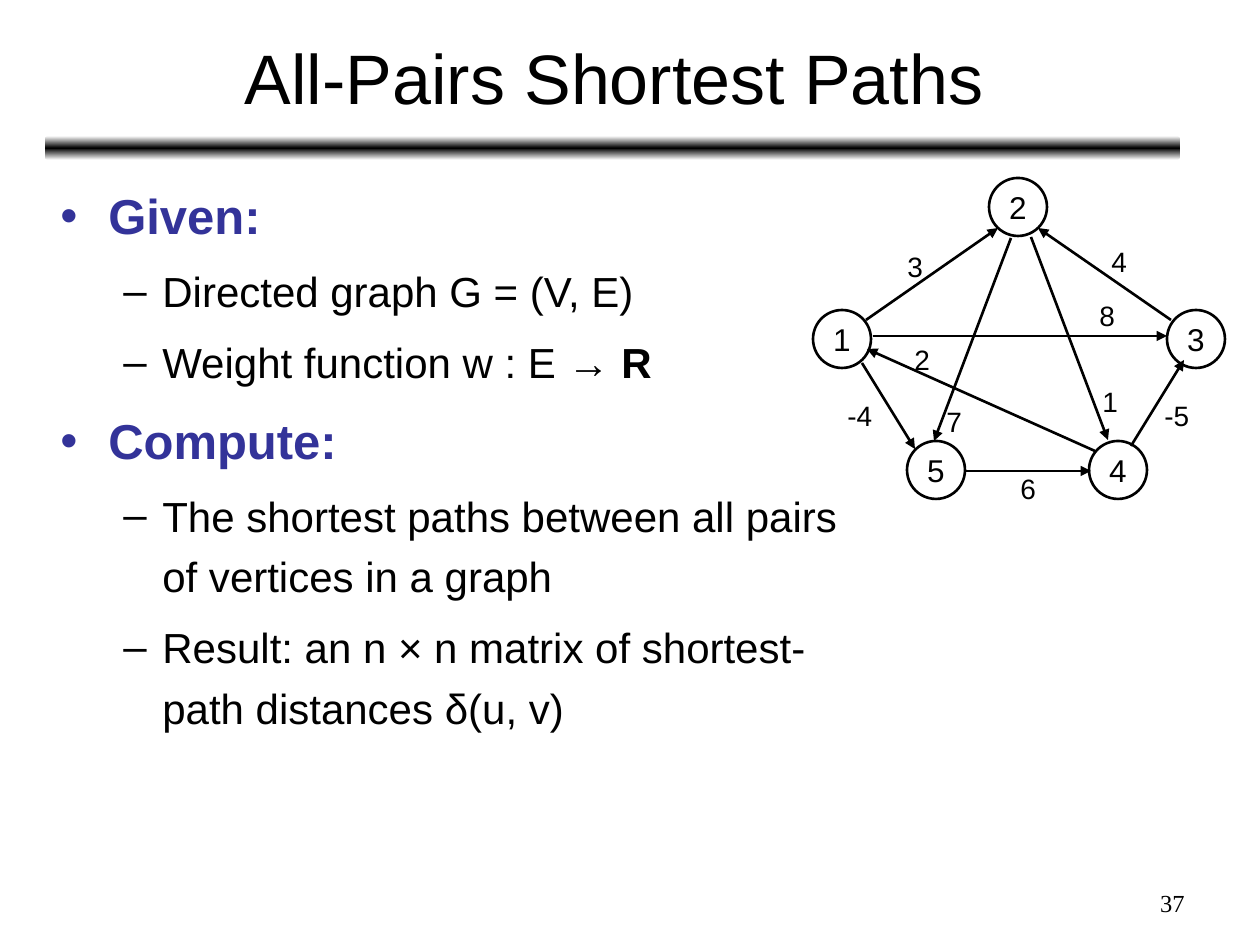
from lxml.etree import SubElement
from copy import deepcopy
from pptx import Presentation
from pptx.dml.color import RGBColor
from pptx.enum.shapes import MSO_CONNECTOR as Connector, MSO_SHAPE as Shape
from pptx.enum.text import MSO_ANCHOR as Anchor, MSO_AUTO_SIZE as AutoSize, PP_ALIGN as Align
from pptx.oxml.ns import qn
from pptx.util import Emu, Pt

SCALE = 914400 / 126
COLORS = {"ink": "000000", "paper": "FFFFFF", "heading": "333399"}
NODE_SIZE = 58
NODES = {
    "1": (813, 310),
    "2": (989, 178),
    "3": (1167, 310),
    "5": (907, 441),
    "4": (1089, 441),
}
EDGES = [
    ((866, 320), (998, 228), "3", (895, 243)),
    ((862, 363), (915, 449), "-4", (835, 392)),
    ((1011, 238), (934, 441), "7", (934, 398)),
    ((966, 471), (1091, 471), "6", (1008, 465)),
    ((1095, 451), (867, 349), "2", (902, 336)),
    ((1171, 320), (1038, 228), "4", (1099, 238)),
    ((1031, 237), (1108, 440), "1", (1090, 378)),
    ((1131, 446), (1184, 360), "-5", (1152, 392)),
    ((873, 336), (1167, 336), "8", (1087, 292)),
]
LEVELS = [
    {"size": 28, "color": "heading", "bold": True, "before": 7, "bullet": "•", "left": 48, "hang": 48},
    {"size": 24, "color": "ink", "bold": False, "before": 6, "bullet": "–", "left": 102, "hang": 39},
]
OUTLINE = [
    (0, "Given:", ""),
    (1, "Directed graph G = (V, E)", ""),
    (1, "Weight function w : E → ", "R"),
    (0, "Compute:", ""),
    (1, "The shortest paths between all pairs of vertices in a graph", ""),
    (1, "Result: an n × n matrix of shortest-path distances δ(u, v)", ""),
]


def px(*lengths):
    return [Emu(round(length * SCALE)) for length in lengths]


def rgb(name):
    return RGBColor.from_string(COLORS[name])


def style(para, size, color="ink", font="Arial", align=Align.LEFT):
    para.alignment = align
    para.font.size = Pt(size)
    para.font.name = font
    para.font.color.rgb = rgb(color)


def add_text(page, text, bounds, size, align=Align.LEFT, anchor=Anchor.TOP, font="Arial"):
    frame = page.shapes.add_textbox(*px(*bounds)).text_frame
    frame.word_wrap = True
    frame.vertical_anchor = anchor
    para = frame.paragraphs[0]
    para.text = text
    style(para, size, font=font, align=align)
    return frame


def add_rule(page):
    rule = page.shapes.add_shape(Shape.ROUNDED_RECTANGLE, *px(45, 136, 1135, 24))
    rule.shadow.inherit = False
    rule.line.fill.background()
    rule.fill.gradient()
    rule.fill.gradient_angle = 90
    stop_list = next(rule.element.iter(qn("a:gsLst")))
    stop_list.append(deepcopy(stop_list[0]))
    for stop, position, color in zip(rule.fill.gradient_stops, (0, 0.5, 1), ("paper", "ink", "paper")):
        stop.position = position
        stop.color.rgb = rgb(color)


def set_bullet(para, level):
    properties = para._p.get_or_add_pPr()
    left, hang = px(level["left"], level["hang"])
    properties.set("marL", str(left))
    properties.set("indent", str(-hang))
    color = SubElement(properties, qn("a:buClr"))
    SubElement(color, qn("a:srgbClr"), val=COLORS[level["color"]])
    SubElement(properties, qn("a:buFont"), typeface="Arial")
    SubElement(properties, qn("a:buChar"), char=level["bullet"])


def add_outline(page):
    frame = page.shapes.add_textbox(*px(48, 168, 806, 699)).text_frame
    frame.word_wrap = True
    for index, (depth, text, strong) in enumerate(OUTLINE):
        para = frame.add_paragraph() if index else frame.paragraphs[0]
        level = LEVELS[depth]
        para.level = depth
        para.line_spacing = 1.2
        para.space_before = Pt(level["before"])
        set_bullet(para, level)
        style(para, level["size"], level["color"])
        para.font.bold = level["bold"]
        para.add_run().text = text
        if strong:
            span = para.add_run()
            span.text = strong
            span.font.bold = True


def add_node(page, name, corner):
    node = page.shapes.add_shape(Shape.OVAL, *px(*corner, NODE_SIZE, NODE_SIZE))
    node.shadow.inherit = False
    node.fill.background()
    node.line.color.rgb = rgb("ink")
    node.line.width = Pt(1.5)
    frame = node.text_frame
    frame.word_wrap = False
    frame.vertical_anchor = Anchor.MIDDLE
    para = frame.paragraphs[0]
    para.text = name
    style(para, 18, align=Align.CENTER)


def add_edge(page, start, end):
    edge = page.shapes.add_connector(Connector.STRAIGHT, *px(*start, *end))
    edge.line.color.rgb = rgb("ink")
    edge.line.width = Pt(1.5)
    SubElement(edge.line._get_or_add_ln(), qn("a:tailEnd"), type="triangle")
    SubElement(edge.element.spPr, qn("a:effectLst"))


def add_weight(page, weight, corner):
    width = 42 if len(weight) == 1 else 54
    frame = add_text(page, weight, (*corner, width, 47), 16)
    frame.word_wrap = False
    frame.auto_size = AutoSize.SHAPE_TO_FIT_TEXT


def main():
    deck = Presentation()
    deck.slide_width, deck.slide_height = px(1260, 945)
    page = deck.slides.add_slide(deck.slide_layouts[6])
    add_rule(page)
    add_text(page, "All-Pairs Shortest Paths", (47, 14, 1134, 125), 40, Align.CENTER, Anchor.MIDDLE)
    add_outline(page)
    for name, corner in NODES.items():
        add_node(page, name, corner)
    for start, end, weight, corner in EDGES:
        add_edge(page, start, end)
        add_weight(page, weight, corner)
    add_text(page, "37", (903, 882, 294, 44), 14, Align.RIGHT, font="Times New Roman")
    deck.save("out.pptx")


if __name__ == "__main__":
    main()
